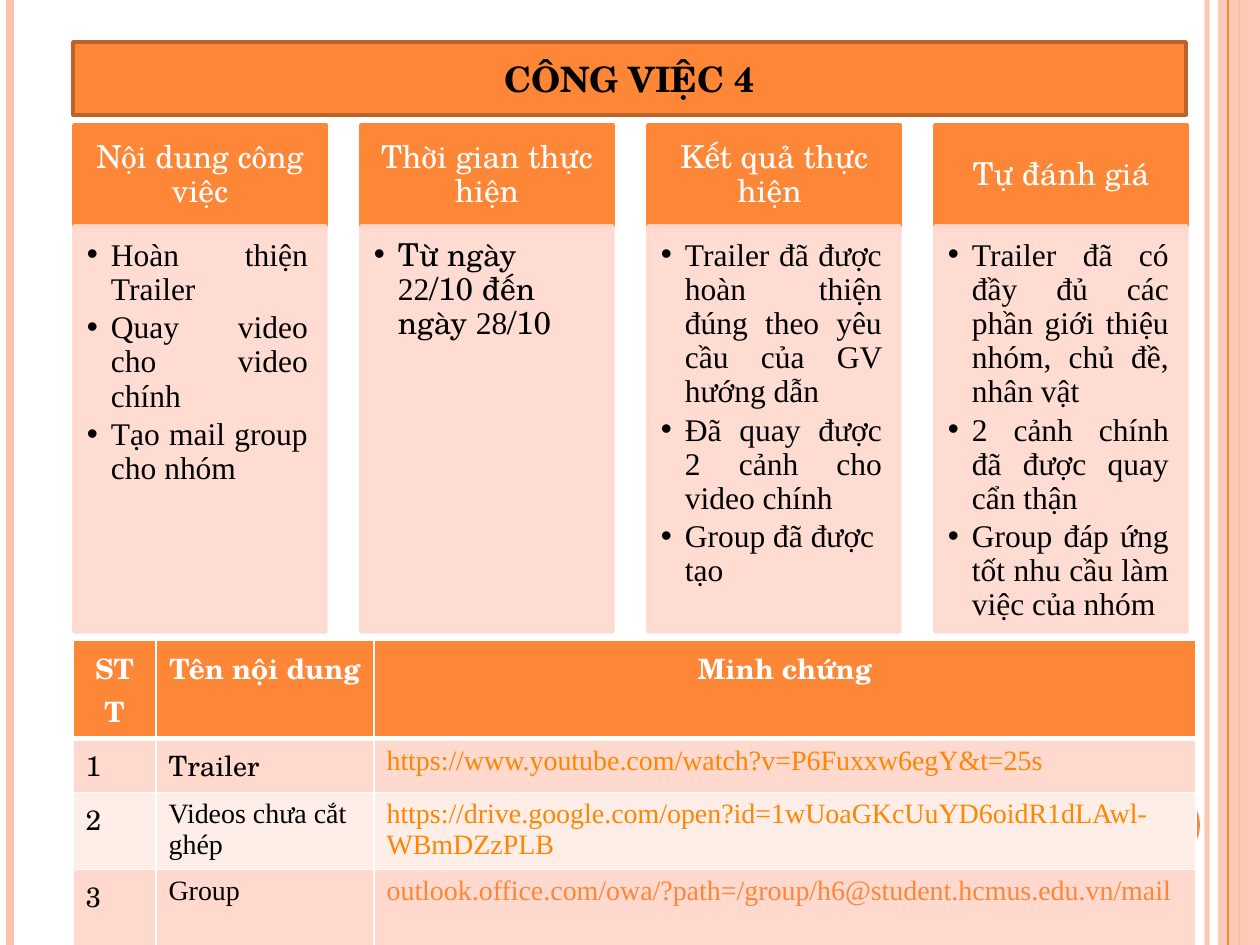
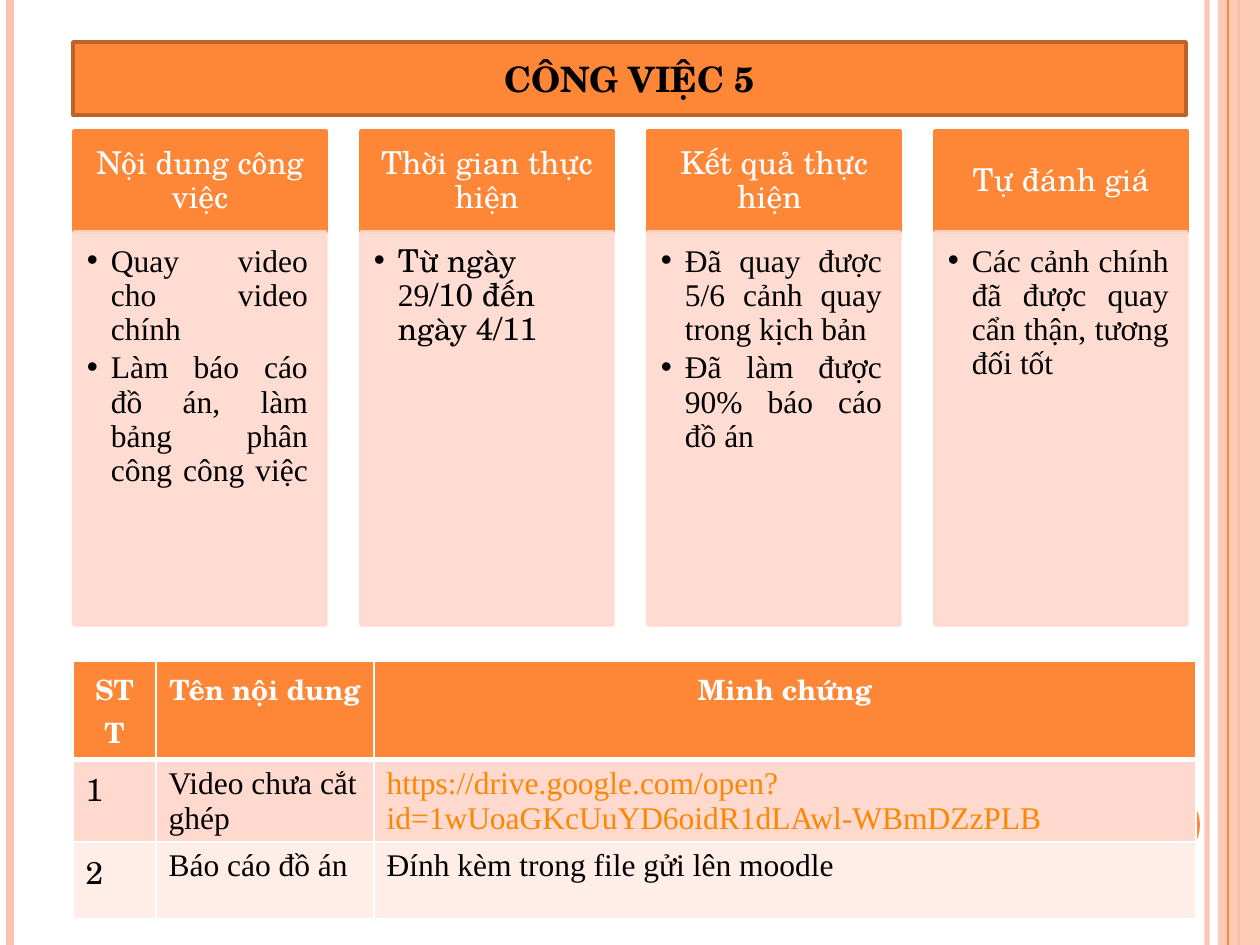
from lxml import etree
from pptx import Presentation
from pptx import util as u
from pptx.dml.color import RGBColor
from pptx.enum import shapes, text
from pptx.oxml import ns

COLORS = {
    "orange": "FE8637", "brown": "BC6329", "peach": "FEC3AE", "panel": "FFD9CE",
    "pale": "FFEDE8", "link": "FD8603", "white": "FFFFFF", "black": "000000",
}
SCHOLA, TIMES = "TeX Gyre Schola", "Times New Roman"
WIDTH, HEIGHT = 1260, 945
COLUMN_LEFT, COLUMN_WIDTH, COLUMN_PITCH, HEAD_HEIGHT = 74, 252, 287, 101
TABLE_COLUMNS = (83, 218, 822)
COLUMN_HEADS = ("Nội dung công việc", "Thời gian thực hiện",
                "Kết quả thực hiện ", "Tự đánh giá")
TABLE_HEADS = ("STT", "Tên nội dung", "Minh chứng")
DRIVE_URL = "https://drive.google.com/open?id=1wUoaGKcUuYD6oidR1dLAwl-WBmDZzPLB"
CENTER, JUSTIFY, LEFT = (text.PP_ALIGN.CENTER, text.PP_ALIGN.JUSTIFY,
                         text.PP_ALIGN.LEFT)


def px(n):
    return u.Emu(round(n * 914400 / 126))


def rgb(name):
    return RGBColor.from_string(COLORS[name])


def set_alpha(element, percent):
    """Make every plain colour inside the element partly transparent."""
    for color in element.iter(ns.qn("a:srgbClr")):
        etree.SubElement(color, ns.qn("a:alpha"), val=str(percent * 1000))


def add_box(s, kind, x, y, w, h, fill, line=None, alpha=None):
    sp = s.shapes.add_shape(kind, px(x), px(y), px(w), px(h))
    sp.shadow.inherit = False
    sp.fill.solid()
    sp.fill.fore_color.rgb = rgb(fill)
    if line:
        sp.line.color.rgb = rgb(line)
        sp.line.width = u.Pt(2)
    else:
        sp.line.fill.background()
    if alpha:
        set_alpha(sp._element.spPr, alpha)
    return sp


def add_rule(s, x, color, width, alpha=None):
    """Draw a vertical line over the full slide height."""
    line = s.shapes.add_connector(shapes.MSO_CONNECTOR.STRAIGHT,
                                  px(x), 0, px(x), px(HEIGHT))
    line.line.color.rgb = rgb(color)
    line.line.width = u.Pt(width)
    if alpha:
        set_alpha(line._element.spPr, alpha)
    etree.SubElement(line._element.spPr, ns.qn("a:effectLst"))


def add_run(p, words, size=18, font=SCHOLA, color="black", bold=False):
    r = p.add_run()
    r.text = words
    r.font.size = u.Pt(size)
    r.font.name = font
    r.font.bold = bold
    r.font.color.rgb = rgb(color)


def set_frame(sp, anchor, insets):
    tf = sp.text_frame
    tf.word_wrap = True
    tf.vertical_anchor = anchor
    tf.margin_left, tf.margin_top, tf.margin_right, tf.margin_bottom = map(px, insets)
    return tf


def set_bullet(p):
    p.level = 1
    pPr = p._p.get_or_add_pPr()
    pPr.set("marL", str(px(24)))
    pPr.set("indent", str(-px(24)))
    etree.SubElement(pPr, ns.qn("a:buFont"), typeface="Arial")
    etree.SubElement(pPr, ns.qn("a:buChar"), char="•")


def set_spacing(p, align, after):
    p.alignment = align
    p.line_spacing = 0.9
    p.space_after = u.Pt(after)


def left(*runs):
    """Describe a left-aligned bullet made of (words, font) runs."""
    return LEFT, runs


def add_decor(s):
    add_rule(s, 1207, "peach", 3, 93)
    add_rule(s, 10, "peach", 4.5)
    add_rule(s, 1239, "orange", 1.5)
    add_box(s, shapes.MSO_SHAPE.RECTANGLE, 1218, 0, 42, HEIGHT, "peach", alpha=87)
    add_rule(s, 1228, "orange", 0.75)
    add_box(s, shapes.MSO_SHAPE.OVAL, 1124, 787, 76, 76, "orange")


def add_title(s, title):
    sp = add_box(s, shapes.MSO_SHAPE.RECTANGLE, 73, 42, 1113, 73, "orange", "brown")
    p = set_frame(sp, text.MSO_ANCHOR.MIDDLE, (13, 6, 13, 6)).paragraphs[0]
    p.alignment = CENTER
    add_run(p, title, size=20, bold=True)


def add_column(s, x, y, body_height, head, bullets):
    rect = shapes.MSO_SHAPE.RECTANGLE
    sp = add_box(s, rect, x, y, COLUMN_WIDTH, HEAD_HEIGHT, "orange", "orange")
    p = set_frame(sp, text.MSO_ANCHOR.MIDDLE, (18, 10, 18, 10)).paragraphs[0]
    set_spacing(p, CENTER, 6.3)
    add_run(p, head, color="white")

    sp = add_box(s, rect, x, y + HEAD_HEIGHT, COLUMN_WIDTH, body_height,
                 "panel", "panel", 90)
    tf = set_frame(sp, text.MSO_ANCHOR.TOP, (13, 13, 18, 20))
    for i, bullet in enumerate(bullets):
        align, runs = ((JUSTIFY, [(bullet, TIMES)]) if isinstance(bullet, str)
                       else bullet)
        p = tf.add_paragraph() if i else tf.paragraphs[0]
        set_bullet(p)
        set_spacing(p, align, 2.7)
        for words, font in runs:
            add_run(p, words, font=font)


def set_borders(cell, row):
    """Draw white borders, thick between the header and the first row."""
    tcPr = cell._tc.get_or_add_tcPr()
    for i, side in enumerate("LRTB"):
        width = 3 if (row, side) in ((0, "B"), (1, "T")) else 1
        ln = etree.Element(ns.qn(f"a:ln{side}"), w=str(u.Pt(width)))
        fill = etree.SubElement(ln, ns.qn("a:solidFill"))
        etree.SubElement(fill, ns.qn("a:srgbClr"), val=COLORS["white"])
        tcPr.insert(i, ln)


def add_evidence_table(s, y, heights, size, rows):
    """Add the table; each body cell is (words, font, colour)."""
    heads = [(head, SCHOLA, "white") for head in TABLE_HEADS]
    numbered = [[(str(n), SCHOLA, "black"), *row] for n, row in enumerate(rows, 1)]
    table = s.shapes.add_table(len(heights), len(TABLE_COLUMNS), px(73), px(y),
                               px(sum(TABLE_COLUMNS)), px(sum(heights))).table
    for column, width in zip(table.columns, TABLE_COLUMNS):
        column.width = px(width)
    for i, cells in enumerate([heads, *numbered]):
        table.rows[i].height = px(heights[i])
        for j, (words, font, color) in enumerate(cells):
            cell = table.cell(i, j)
            cell.fill.solid()
            cell.fill.fore_color.rgb = rgb(
                "orange" if i == 0 else "panel" if i % 2 else "pale")
            set_borders(cell, i)
            p = cell.text_frame.paragraphs[0]
            p.alignment = LEFT if i else CENTER
            add_run(p, words, size=size if i else 16, font=font, color=color,
                    bold=i == 0)


def add_task_slide(prs, title, top, body_height, columns, table):
    s = prs.slides.add_slide(prs.slide_layouts[6])
    add_decor(s)
    for i, (head, bullets) in enumerate(zip(COLUMN_HEADS, columns)):
        add_column(s, COLUMN_LEFT + i * COLUMN_PITCH, top, body_height, head, bullets)
    add_title(s, title)
    add_evidence_table(s, **table)


def main():
    prs = Presentation()
    prs.slide_width, prs.slide_height = px(WIDTH), px(HEIGHT)

    add_task_slide(
        prs, "CÔNG VIỆC 4", 125, 406,
        columns=[
            ["Hoàn thiện Trailer", "Quay video cho video chính",
             "Tạo mail group cho nhóm"],
            [left(("Từ ngày ", SCHOLA), ("22", TIMES), ("/10 đến ngày ", SCHOLA),
                  ("28", TIMES), ("/10", SCHOLA))],
            ["Trailer đã được hoàn thiện đúng theo yêu cầu của GV hướng dẫn",
             "Đã quay được 2 cảnh cho video chính",
             left(("Group đã được tạo", TIMES))],
            ["Trailer đã có đầy đủ các phần giới thiệu nhóm, chủ đề, nhân vật",
             "2 cảnh chính đã được quay cẩn thận",
             "Group đáp ứng tốt nhu cầu làm việc của nhóm"],
        ],
        table=dict(y=640, heights=(44, 44, 77, 110), size=16, rows=[
            [("Trailer", SCHOLA, "black"),
             ("https://www.youtube.com/watch?v=P6Fuxxw6egY&t=25s", TIMES, "link")],
            [("Videos chưa cắt ghép", TIMES, "black"), (DRIVE_URL, TIMES, "link")],
            [("Group", TIMES, "black"),
             ("outlook.office.com/owa/?path=/group/h6@student.hcmus.edu.vn/mail",
              TIMES, "orange")],
        ]))

    add_task_slide(
        prs, "CÔNG VIỆC 5", 131, 393,
        columns=[
            ["Quay video cho video chính",
             "Làm báo cáo đồ án, làm bảng phân công công việc "],
            [left(("Từ ngày ", SCHOLA), ("29", TIMES),
                  ("/10 đến ngày 4/11", SCHOLA))],
            ["Đã quay được 5/6 cảnh quay trong kịch bản",
             "Đã làm được 90% báo cáo đồ án"],
            ["Các cảnh chính đã được quay cẩn thận, tương đối tốt"],
        ],
        table=dict(y=661, heights=(35, 44, 77), size=18, rows=[
            [("Video chưa cắt ghép", TIMES, "black"), (DRIVE_URL, TIMES, "link")],
            [("Báo cáo đồ án", TIMES, "black"),
             ("Đính kèm trong file gửi lên moodle", TIMES, "black")],
        ]))

    prs.save("out.pptx")


if __name__ == "__main__":
    main()
